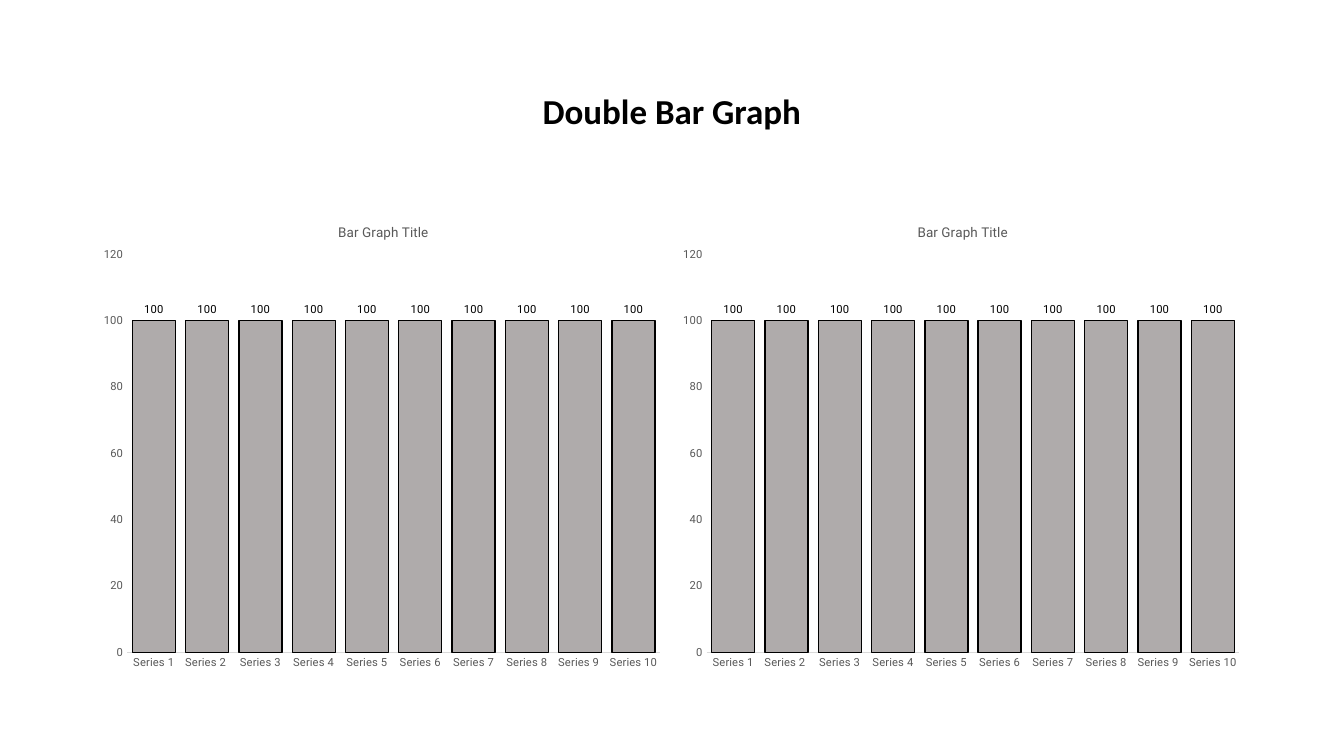
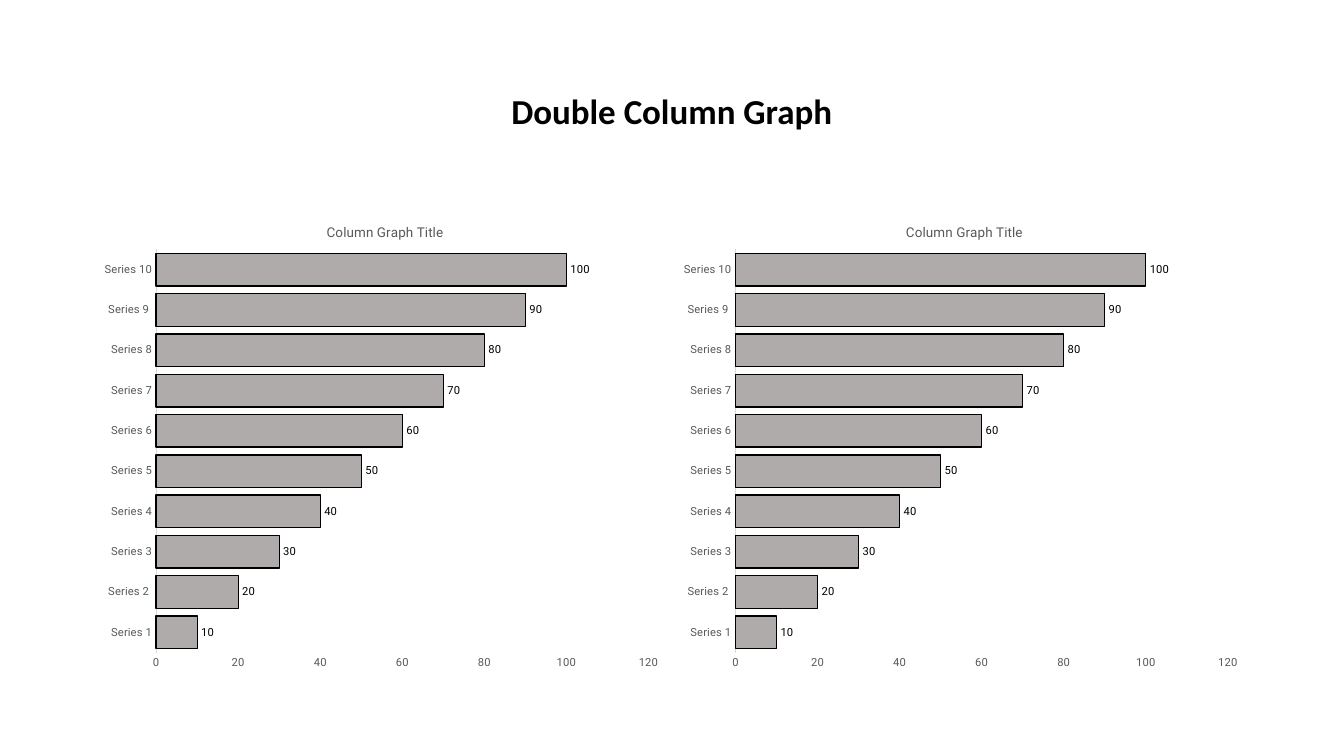
from lxml import etree
from pptx import Presentation
from pptx.chart.data import CategoryChartData
from pptx.dml.color import RGBColor
from pptx.enum import chart as ch, text
from pptx.oxml.ns import qn
from pptx.util import Cm, Pt

BLACK = RGBColor(0x00, 0x00, 0x00)
GRAY = RGBColor(0x59, 0x59, 0x59)
AXIS_LINE = RGBColor(0xD9, 0xD9, 0xD9)
BAR_FILL = RGBColor(0xAF, 0xAB, 0xAB)
TITLE_FONT = "Calibri"
CHART_FONT = "Roboto"
NUMBER_FORMAT = "#,##0"

LEFT, CHART_TOP = Cm(2.33), Cm(5.08)
CHART_W, CHART_H = Cm(14.6), Cm(12.09)

# The second and ninth labels end with a space
CATEGORIES = [f"Series {n} " if n in (2, 9) else f"Series {n}" for n in range(1, 11)]

# Plot area and chart title positions are fractions of the chart
SLIDES = [
    dict(title="Double Bar Graph", chart_title="Bar Graph Title",
         kind=ch.XL_CHART_TYPE.COLUMN_CLUSTERED, values=[100] * 10, overlap=-27,
         plot=dict(x=0.06, y=0.11, w=0.92, h=0.83), title_at=dict(x=0.42, y=0.04)),
    dict(title="Double Column Graph", chart_title="Column Graph Title",
         kind=ch.XL_CHART_TYPE.BAR_CLUSTERED, values=range(10, 101, 10), overlap=0,
         plot=dict(x=0.11, y=0.1, w=0.85, h=0.84), title_at=dict(x=0.4, y=0.04)),
]


def set_font(font, color, size=8):
    font.name, font.size, font.bold = CHART_FONT, Pt(size), False
    font.color.rgb = color


def set_layout(parent, index, box, inner=False):
    """Give a chart part a manual layout as its child number index."""
    for old in parent.findall(qn("c:layout")):
        parent.remove(old)
    layout = etree.Element(qn("c:layout"))
    parent.insert(index, layout)
    manual = etree.SubElement(layout, qn("c:manualLayout"))
    if inner:
        etree.SubElement(manual, qn("c:layoutTarget")).set("val", "inner")
    for key in ("x", "y"):
        etree.SubElement(manual, qn(f"c:{key}Mode")).set("val", "edge")
    for key, value in box.items():
        etree.SubElement(manual, qn(f"c:{key}")).set("val", str(value))


prs = Presentation()
prs.slide_width, prs.slide_height = Cm(33.87), Cm(19.05)

for spec_row in SLIDES:
    s = prs.slides.add_slide(prs.slide_layouts[6])

    tf = s.shapes.add_textbox(LEFT, Cm(1.01), 2 * CHART_W, Cm(3.68)).text_frame
    tf.word_wrap = True
    tf.vertical_anchor = text.MSO_ANCHOR.MIDDLE
    p = tf.paragraphs[0]
    p.alignment = text.PP_ALIGN.CENTER
    p.line_spacing = 0.9
    r = p.add_run()
    r.text = spec_row["title"]
    r.font.name, r.font.size, r.font.bold = TITLE_FONT, Pt(25), True
    r.font.color.rgb = BLACK

    data = CategoryChartData(number_format=NUMBER_FORMAT)
    data.categories = CATEGORIES
    data.add_series("Series 1", spec_row["values"])

    for col in range(2):
        chart = s.shapes.add_chart(spec_row["kind"], LEFT + col * CHART_W, CHART_TOP,
                                   CHART_W, CHART_H, data).chart
        set_font(chart.font, BLACK)
        chart.has_legend = False

        chart.has_title = True
        r = chart.chart_title.text_frame.paragraphs[0].add_run()
        r.text = spec_row["chart_title"]
        set_font(r.font, GRAY, 9.6)
        chart.chart_title.include_in_layout = False

        for axis in (chart.category_axis, chart.value_axis):
            axis.has_major_gridlines = False
            axis.major_tick_mark = axis.minor_tick_mark = ch.XL_TICK_MARK.NONE
            set_font(axis.tick_labels.font, GRAY)
        chart.category_axis.format.line.color.rgb = AXIS_LINE
        chart.category_axis.format.line.width = Pt(0.75)
        axis = chart.value_axis
        axis.format.line.fill.background()
        axis.minimum_scale, axis.maximum_scale, axis.major_unit = 0, 120, 20
        axis.tick_labels.number_format = NUMBER_FORMAT
        axis.tick_labels.number_format_is_linked = False

        plot = chart.plots[0]
        plot.vary_by_categories = False
        plot.gap_width, plot.overlap = 24, spec_row["overlap"]
        bars = plot.series[0]
        bars.format.fill.solid()
        bars.format.fill.fore_color.rgb = BAR_FILL
        bars.format.line.color.rgb = BLACK
        bars.format.line.width = Pt(1)
        labels = bars.data_labels
        labels.show_value = True
        labels.position = ch.XL_LABEL_POSITION.OUTSIDE_END
        labels.number_format = NUMBER_FORMAT
        labels.number_format_is_linked = False
        set_font(labels.font, BLACK)

        root = chart.element
        set_layout(root.find(".//" + qn("c:plotArea")), 0, spec_row["plot"], inner=True)
        set_layout(root.find(".//" + qn("c:title")), 1, spec_row["title_at"])

prs.save("out.pptx")
